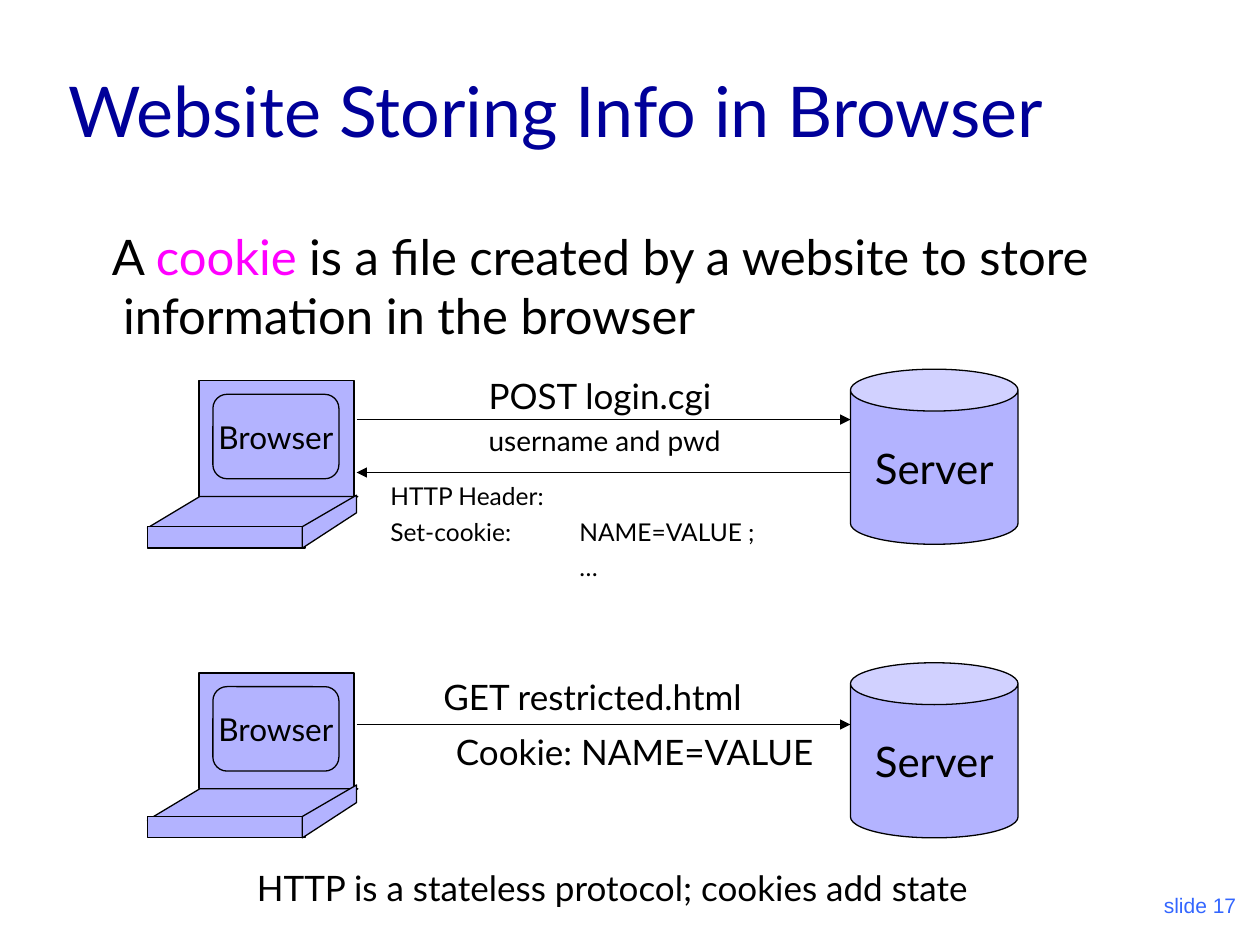
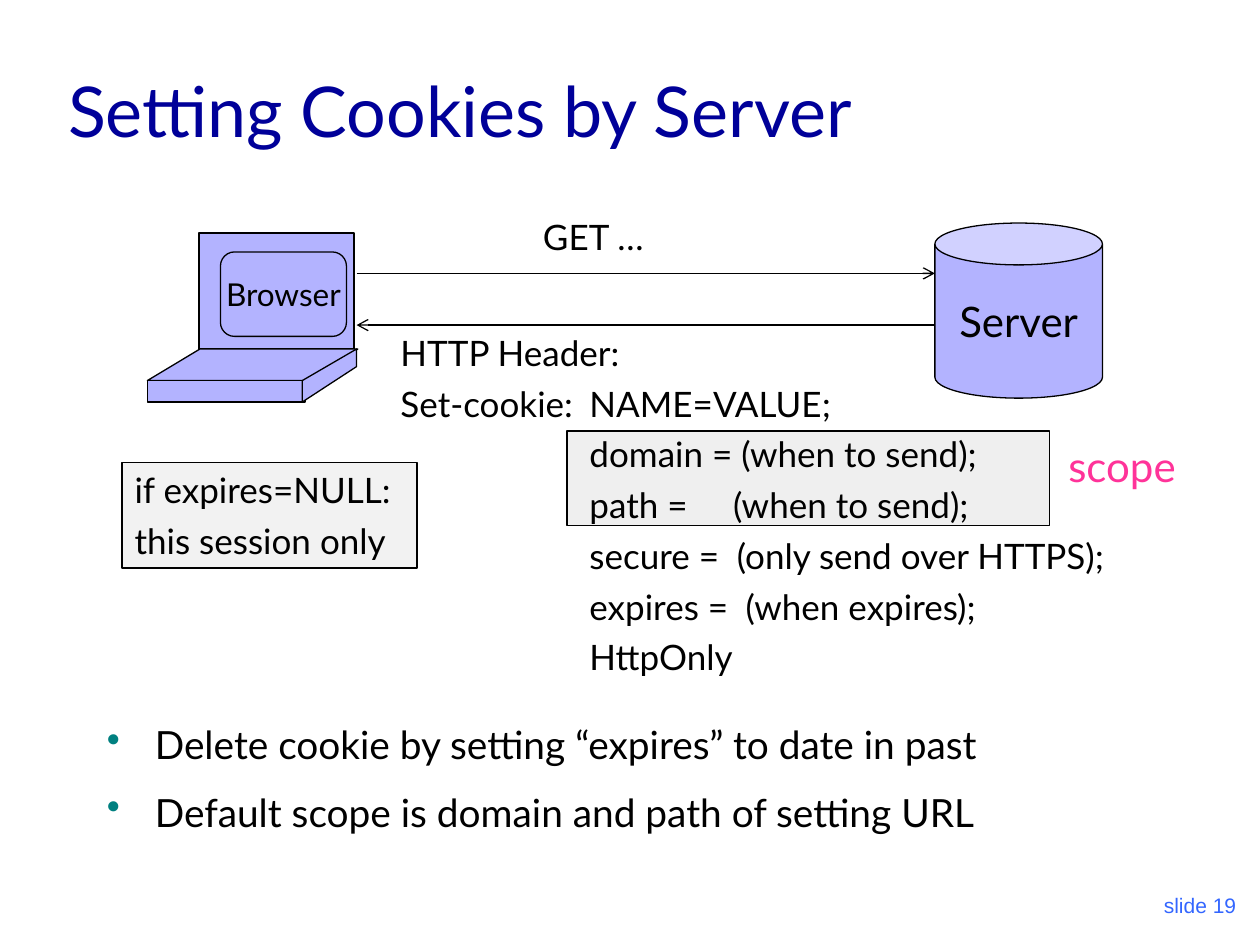
from lxml import etree
from pptx import Presentation
from pptx.dml.color import RGBColor
from pptx.enum.shapes import MSO_CONNECTOR, MSO_SHAPE
from pptx.enum.text import MSO_ANCHOR, MSO_AUTO_SIZE, PP_ALIGN
from pptx.oxml.ns import qn
from pptx.util import Inches, Pt

LEFT, CENTER, RIGHT = PP_ALIGN.LEFT, PP_ALIGN.CENTER, PP_ALIGN.RIGHT
TOP, MIDDLE, BOTTOM = MSO_ANCHOR.TOP, MSO_ANCHOR.MIDDLE, MSO_ANCHOR.BOTTOM
RECT, ROUNDED = MSO_SHAPE.RECTANGLE, MSO_SHAPE.ROUNDED_RECTANGLE
SLANTED, CAN = MSO_SHAPE.PARALLELOGRAM, MSO_SHAPE.CAN
STRAIGHT = MSO_CONNECTOR.STRAIGHT
NO_FIT = MSO_AUTO_SIZE.NONE

FONT = "Lato"
BLACK, NAVY, BLUE, TEAL = "000000", "000099", "3366FF", "008080"
LILAC, MAGENTA, PINK = "B3B3FF", "FF00FF", "FF3399"
rgb = RGBColor.from_string


def paint(shape, fill=LILAC, width=0.75):
    shape.shadow.inherit = False
    shape.fill.solid()
    shape.fill.fore_color.rgb = rgb(fill)
    shape.line.color.rgb = rgb(BLACK)
    shape.line.width = Pt(width)
    return shape


def write(shape, lines, size, color=BLACK, before=5.0, align=LEFT,
          anchor=TOP, wrap=False, font=FONT):
    frame = shape.text_frame
    frame.text = "\n".join(lines)
    frame.word_wrap = wrap
    frame.auto_size = NO_FIT
    frame.vertical_anchor = anchor
    for paragraph in frame.paragraphs:
        paragraph.alignment = align
        paragraph.space_before = Pt(before)
        for run in paragraph.runs:
            run.font.name = font
            run.font.size = Pt(size)
            run.font.color.rgb = rgb(color)
    return frame


prs = Presentation()
prs.slide_width, prs.slide_height = Inches(10), Inches(7.5)

slides = []
for heading, number in [("Website Storing Info in Browser", 17),
                        ("Setting Cookies by Server", 19)]:
    slide = prs.slides.add_slide(prs.slide_layouts[5])
    title = slide.shapes.title
    title.left, title.top = Inches(0.44), Inches(0.25)
    title.width, title.height = Inches(8.5), Inches(1)
    write(title, [heading], 40, NAVY, 0, anchor=BOTTOM, wrap=True)
    footer = slide.shapes.add_textbox(Inches(7.83), Inches(6.83), Inches(2.08), Inches(0.5))
    write(footer, [f"slide {number}"], 12, BLUE, 7.5, RIGHT, BOTTOM, True, "Arial")
    slides.append(slide)
storing, setting = slides

definition = storing.shapes.add_textbox(Inches(0.5), Inches(1.75), Inches(8.94), Inches(1.1))
definition.text_frame.word_wrap = True
sentence = definition.text_frame.paragraphs[0]
sentence.space_before = Pt(7)
margins = sentence._p.get_or_add_pPr()
margins.set("marL", str(Inches(0.38)))
margins.set("indent", str(Inches(-0.09)))
for words, color in [("A ", BLACK), ("cookie", MAGENTA),
                     (" is a file created by a website to store information in the browser", BLACK)]:
    run = sentence.add_run()
    run.text = words
    run.font.name, run.font.size = FONT, Pt(28)
    run.font.color.rgb = rgb(color)

scope_box = paint(setting.shapes.add_shape(RECT, Inches(4.5), Inches(3.42), Inches(3.83), Inches(0.75)),
                  "CCCCCC", 1)
scope_color = scope_box.fill._xPr.find(qn("a:solidFill"))[0]
etree.SubElement(scope_color, qn("a:alpha"), val="30000")

session_note = paint(setting.shapes.add_shape(RECT, Inches(0.97), Inches(3.67), Inches(2.34), Inches(0.84)),
                     "F2F2F2", 1)
write(session_note, ["if expires=NULL:", "this session only"], 20)

exchanges = [
    (storing, 3.02, 1.69, 3.13, 4.18, 6.75, 2.93),
    (storing, 5.34, 1.69, 5.45, 6.48, 6.75, 5.26),
    (setting, 1.85, 1.75, 2.0, 3.02, 7.42, 1.77),
]
for slide, lid_top, screen_left, screen_top, base_top, server_left, server_top in exchanges:
    shapes = slide.shapes
    paint(shapes.add_shape(RECT, Inches(1.58), Inches(lid_top), Inches(1.23), Inches(0.92)))
    browser = paint(shapes.add_shape(ROUNDED, Inches(screen_left), Inches(screen_top), Inches(1), Inches(0.67)))
    write(browser, ["Browser"], 18, before=4.5, align=CENTER, anchor=MIDDLE)
    keyboard = paint(shapes.add_shape(SLANTED, Inches(1.17), Inches(lid_top + 0.92), Inches(1.67), Inches(0.25)))
    keyboard.adjustments[0] = 1.667
    paint(shapes.add_shape(RECT, Inches(1.17), Inches(base_top), Inches(1.25), Inches(0.17)))
    edge = shapes.build_freeform(Inches(2.4), Inches(base_top + 0.17))
    edge.add_line_segments([(Inches(x), Inches(base_top + dy))
                            for x, dy in [(2.83, -0.11), (2.83, -0.25), (2.4, 0)]])
    paint(edge.convert_to_shape())
    server = paint(shapes.add_shape(CAN, Inches(server_left), Inches(server_top), Inches(1.33), Inches(1.39)))
    write(server, ["Server"], 24, before=6, align=CENTER, anchor=MIDDLE)

messages = [
    (storing, 2.83, 6.75, 3.33, "triangle"),
    (storing, 6.75, 2.83, 3.75, "triangle"),
    (storing, 2.83, 6.75, 5.75, "triangle"),
    (setting, 2.83, 7.42, 2.17, "arrow"),
    (setting, 7.42, 2.83, 2.58, "arrow"),
]
for slide, start, end, y, head in messages:
    arrow = slide.shapes.add_connector(STRAIGHT, Inches(start), Inches(y), Inches(end), Inches(y))
    arrow.line.color.rgb = rgb(BLACK)
    arrow.line.width = Pt(0.75)
    etree.SubElement(arrow.line._get_or_add_ln(), qn("a:tailEnd"), type=head)
    etree.SubElement(arrow._element.spPr, qn("a:effectLst"))

captions = [
    (storing, 3.78, 2.92, 2.21, 0.76, ["POST login.cgi", "username and pwd"], 20, BLACK, LEFT),
    (storing, 3.42, 5.31, 2.72, 0.44, ["GET restricted.html"], 20, BLACK, LEFT),
    (storing, 3.52, 5.75, 3.04, 0.44, ["Cookie: NAME=VALUE"], 20, BLACK, LEFT),
    (storing, 1.94, 6.83, 6.19, 0.44, ["HTTP is a stateless protocol; cookies add state"], 20, BLACK, LEFT),
    (setting, 4.21, 1.66, 1, 0.44, ["GET …"], 20, BLACK, CENTER),
    (setting, 8.35, 3.45, 1.11, 0.5, ["scope"], 24, PINK, CENTER),
]
for slide, left, top, width, height, lines, size, color, align in captions:
    caption = slide.shapes.add_textbox(Inches(left), Inches(top), Inches(width), Inches(height))
    frame = write(caption, lines, size, color, size / 4, align)
    for detail in frame.paragraphs[1:]:
        detail.space_before = Pt(4)
        detail.runs[0].font.size = Pt(16)

headers = [
    (storing, 3, 3.77, 5, 0.9, 14,
     [("HTTP Header:", 2), ("Set-cookie:\tNAME=VALUE ;", 2), ("\t…", 2)]),
    (setting, 3.08, 2.58, 6.17, 2.85, 20,
     [("HTTP Header:", 2), ("Set-cookie:\tNAME=VALUE;", 2), ("\tdomain = (when to send);", 2),
      ("\tpath =\t(when to send);", 2.64), ("\tsecure =\t(only send over HTTPS);", 2.67),
      ("\texpires =\t(when expires);", 2.74), ("\tHttpOnly", 2)]),
]
for slide, left, top, width, height, size, fields in headers:
    header = slide.shapes.add_textbox(Inches(left), Inches(top), Inches(width), Inches(height))
    frame = write(header, [line for line, _ in fields], size, before=size / 4, wrap=True)
    for paragraph, (_, value_stop) in zip(frame.paragraphs, fields):
        tabs = etree.SubElement(paragraph._p.get_or_add_pPr(), qn("a:tabLst"))
        for stop in (1.5, value_stop):
            etree.SubElement(tabs, qn("a:tab"), pos=str(Inches(stop)), algn="l")

rules = setting.shapes.add_textbox(Inches(0.75), Inches(5.67), Inches(8.08), Inches(1.39))
frame = write(rules, ["Delete cookie by setting “expires” to date in past",
                      "Default scope is domain and path of setting URL"], 22.2, before=12, wrap=True)
for paragraph in frame.paragraphs:
    properties = paragraph._p.get_or_add_pPr()
    properties.set("marL", str(Inches(0.38)))
    properties.set("indent", str(Inches(-0.38)))
    bullet_color = etree.SubElement(properties, qn("a:buClr"))
    etree.SubElement(bullet_color, qn("a:srgbClr"), val=TEAL)
    etree.SubElement(properties, qn("a:buChar"), char="•")

prs.save("out.pptx")
